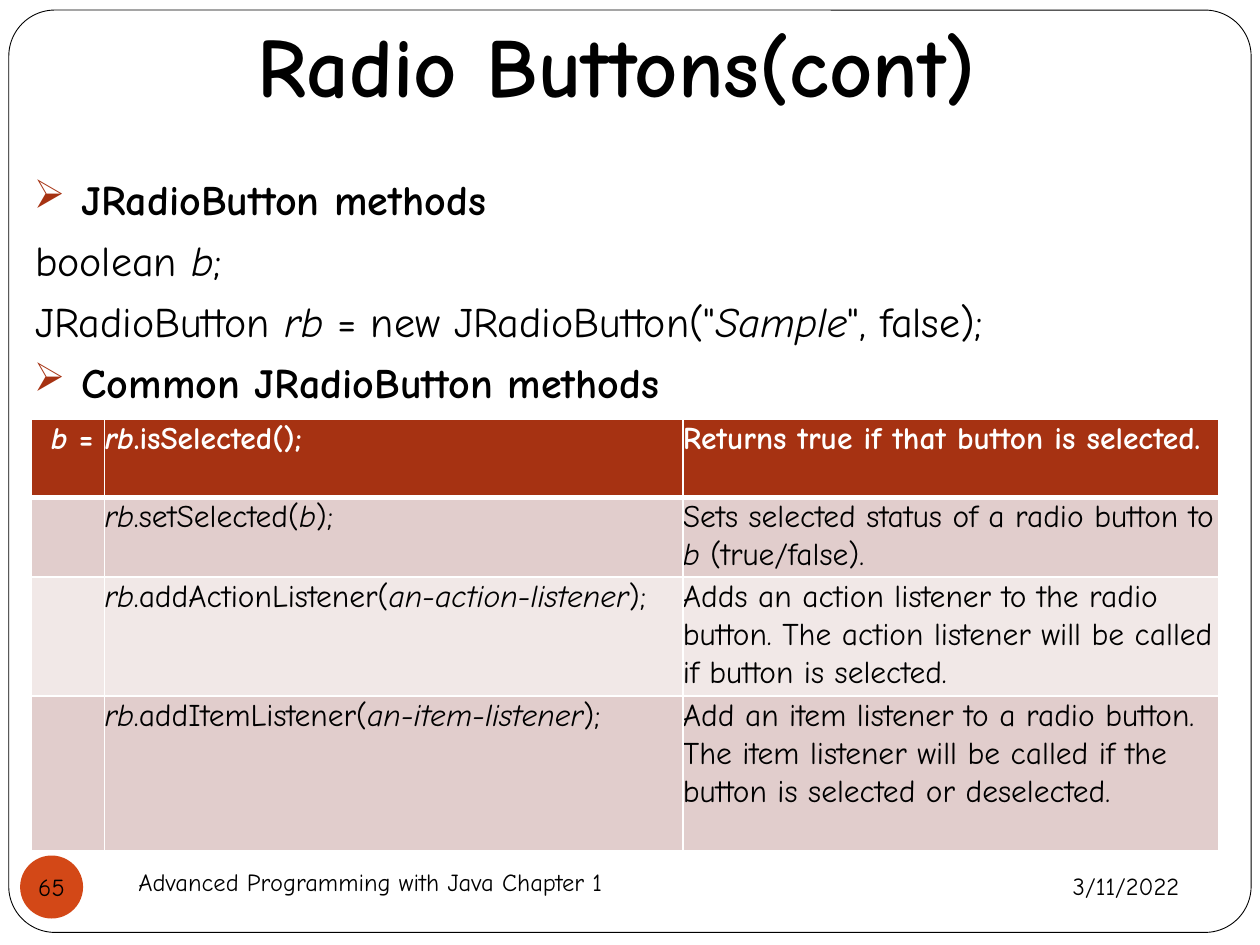
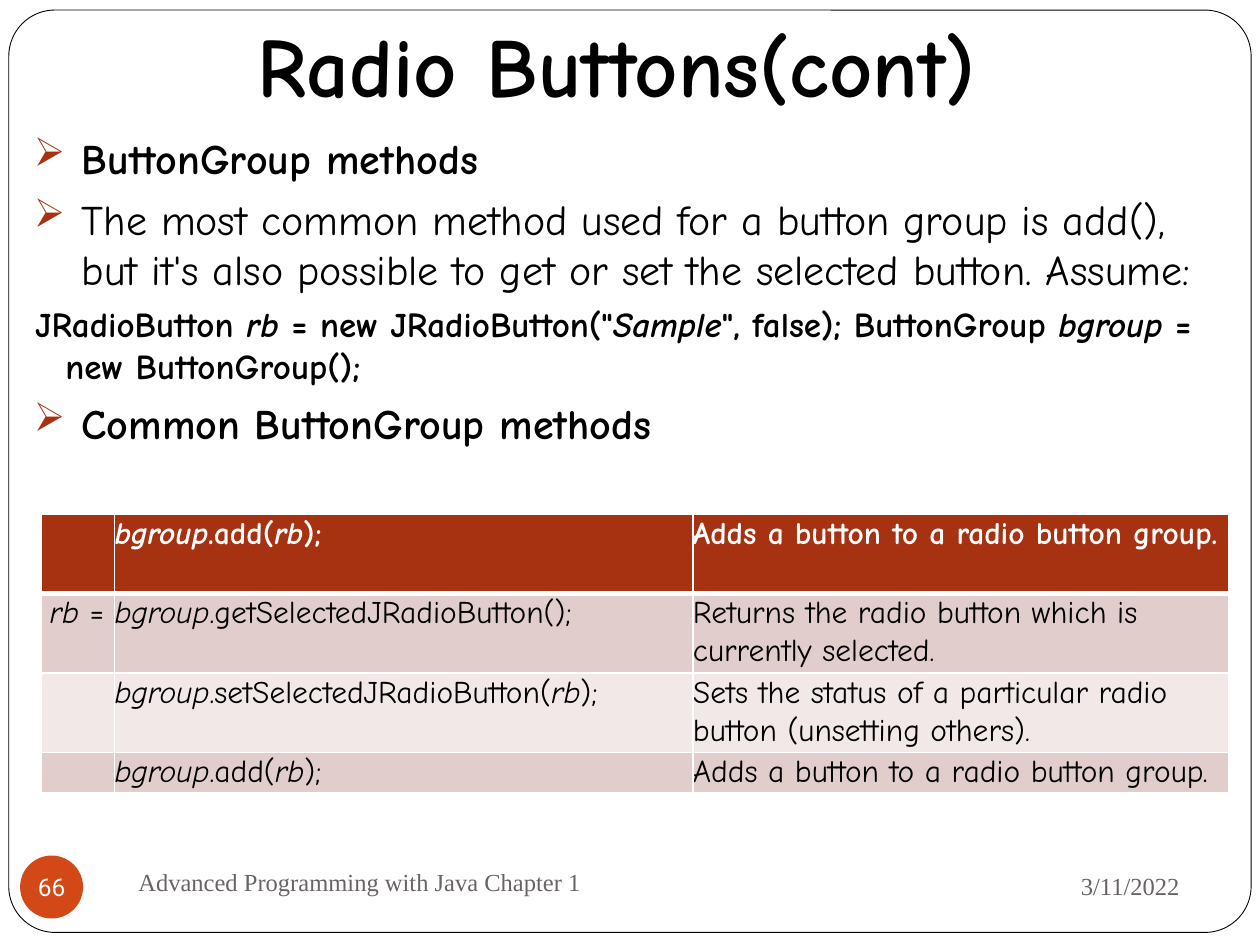
from lxml import etree
from pptx import Presentation
from pptx.dml.color import RGBColor
from pptx.enum import shapes, text
from pptx.oxml import ns
from pptx.util import Inches, Pt

BLACK = RGBColor(0x00, 0x00, 0x00)
WHITE = RGBColor(0xFF, 0xFF, 0xFF)
GREY = RGBColor(0x69, 0x64, 0x64)
ORANGE = RGBColor(0xD3, 0x48, 0x17)
RUST = RGBColor(0xA6, 0x32, 0x12)
ROSE = RGBColor(0xE1, 0xCD, 0xCC)
PALE = RGBColor(0xF1, 0xE8, 0xE7)

COMIC = "Comic Neue"
SERIF = "Times New Roman"
SANS = "Roboto"
LEFT, MID, RIGHT = text.PP_ALIGN.LEFT, text.PP_ALIGN.CENTER, text.PP_ALIGN.RIGHT
COLS = (0.58, 4.59, 4.25)
THIN, THICK = 0.91, 2.95


def write(para, words, size=24, font=COMIC, color=BLACK, bold=False, align=LEFT):
    """Fill a paragraph; words between asterisks are italic."""
    para.alignment = align
    for i, part in enumerate(words.split("*")):
        if part:
            run = para.add_run()
            run.text = part
            run.font.size, run.font.name = Pt(size), font
            run.font.bold, run.font.italic = bold, i % 2 == 1
            run.font.color.rgb = color


def node(parent, tag, **attrs):
    return etree.SubElement(parent, ns.qn("a:" + tag), attrs)


def tint(parent, color):
    node(parent, "srgbClr", val=str(color))


def edge(cell, side, width):
    line = node(cell._tc.get_or_add_tcPr(), "ln" + side, w=str(Pt(width)))
    tint(node(line, "solidFill"), WHITE)


class Deck:
    def __init__(self):
        self.prs = Presentation()
        self.prs.slide_width, self.prs.slide_height = Inches(10), Inches(7.5)
        self.slide = None

    def start(self, title, number, note, badge):
        """Add a slide with its frame, title, footers and number."""
        self.slide = self.prs.slides.add_slide(self.prs.slide_layouts[5])
        self.frame()
        self.title(title)
        self.label("3/11/2022", (6.75, 6.77, 2.71, 0.52), align=RIGHT, **note)
        self.label("Advanced Programming with Java Chapter 1",
                   (1, 6.75, 4.33, 0.5), **note)
        self.badge(number, **badge)

    def shape(self, kind, box):
        item = self.slide.shapes.add_shape(kind, *map(Inches, box))
        item.shadow.inherit = False
        item.fill.solid()
        return item

    def frame(self):
        item = self.shape(shapes.MSO_SHAPE.ROUNDED_RECTANGLE,
                          (0.07, 0.08, 9.86, 7.32))
        item.adjustments[0] = 0.05
        item.fill.fore_color.rgb = WHITE
        item.line.color.rgb, item.line.width = BLACK, Pt(0.5)
        # Keep the frame behind the title
        self.slide.shapes._spTree.insert(2, item._element)

    def title(self, words):
        item = self.slide.shapes.title
        item.left, item.top = Inches(0.5), Inches(0.01)
        item.width, item.height = Inches(8.79), Inches(1)
        item.text_frame.vertical_anchor = text.MSO_ANCHOR.MIDDLE
        write(item.text_frame.paragraphs[0], words, size=48, bold=True, align=MID)

    def box(self, place, anchor=text.MSO_ANCHOR.TOP):
        area = self.slide.shapes.add_textbox(*map(Inches, place)).text_frame
        area.word_wrap, area.vertical_anchor = True, anchor
        return area

    def label(self, words, place, **style):
        area = self.box(place, text.MSO_ANCHOR.MIDDLE)
        write(area.paragraphs[0], words, size=14, **style)

    def badge(self, number, **style):
        item = self.shape(shapes.MSO_SHAPE.OVAL, (0.16, 6.79, 0.5, 0.5))
        item.fill.fore_color.rgb = ORANGE
        item.line.fill.background()
        area = item.text_frame
        area.margin_left = area.margin_right = 0
        area.margin_top = area.margin_bottom = 0
        area.word_wrap, area.vertical_anchor = False, text.MSO_ANCHOR.MIDDLE
        write(area.paragraphs[0], str(number), size=14, align=MID, **style)

    def body(self, top, lines):
        """Each line is (bulleted, words, format)."""
        area = self.box((0.17, top, 9.67, 5.63))
        for i, (mark, words, style) in enumerate(lines):
            para = area.add_paragraph() if i else area.paragraphs[0]
            write(para, words, **style)
            para.space_before = Pt(style.get("size", 24) // 4)
            props = para._p.get_or_add_pPr()
            left, hang = (0.38, -0.38) if mark else (0.25, -0.24)
            props.set("marL", str(Inches(left)))
            props.set("indent", str(Inches(hang)))
            if mark:
                tint(node(props, "buClr"), RUST)
                node(props, "buSzPct", val="95000")
                node(props, "buChar", char="➢")
            else:
                node(props, "buNone")

    def table(self, left, top, highs, rows):
        grid = self.slide.shapes.add_table(
            len(rows), len(COLS), Inches(left), Inches(top),
            Inches(sum(COLS)), Inches(sum(highs))).table
        for col, wide in zip(grid.columns, COLS):
            col.width = Inches(wide)
        for r, (row, high) in enumerate(zip(rows, highs)):
            grid.rows[r].height = Inches(high)
            for c, words in enumerate(row):
                self.cell(grid.cell(r, c), words, r, RIGHT if c == 0 else LEFT)

    def cell(self, cell, words, row, align):
        head = row == 0
        cell.margin_left = cell.margin_right = 0
        cell.margin_top = cell.margin_bottom = 0
        for side, width in (("L", THIN), ("R", THIN),
                            ("T", THICK if row == 1 else THIN),
                            ("B", THICK if head else THIN)):
            edge(cell, side, width)
        cell.fill.solid()
        cell.fill.fore_color.rgb = RUST if head else ROSE if row % 2 else PALE
        para = cell.text_frame.paragraphs[0]
        para.line_spacing = 1.05
        write(para, words, size=18, color=WHITE if head else BLACK,
              bold=head, align=align)


def main():
    deck = Deck()
    bold = {"bold": True}
    name = "Radio Buttons(cont)"

    # Radio button methods
    deck.start(name, 65, note={}, badge={})
    deck.body(1.33, [
        (True, "JRadioButton methods", bold),
        (False, "boolean *b*;", {}),
        (False, 'JRadioButton *rb* = new JRadioButton("*Sample*", false);', {}),
        (True, "Common JRadioButton methods", bold),
    ])
    deck.table(0.25, 3.33, (0.62, 0.62, 0.94, 1.23), [
        ("*b* = ", "*rb*.isSelected();",
         "Returns true if that button is selected."),
        ("", "*rb*.setSelected(*b*);",
         "Sets selected status of a radio button to *b* (true/false)."),
        ("", "*rb*.addActionListener(*an-action-listener*);",
         "Adds an action listener to the radio button. The action listener "
         "will be called if button is selected."),
        ("", "*rb*.addItemListener(*an-item-listener*);",
         "Add an item listener to a radio button. The item listener will be "
         "called if the button is selected or deselected."),
    ])

    # Button group methods
    deck.start(name, 66, note={"font": SERIF, "color": GREY},
               badge={"font": SANS, "color": WHITE})
    deck.body(1, [
        (True, "ButtonGroup methods", bold),
        (True, "The most common method used for a button group is add(), but "
               "it's also possible to get or set the selected button. Assume:", {}),
        (False, 'JRadioButton *rb* = new JRadioButton("*Sample*", false); '
                "ButtonGroup *bgroup* = new ButtonGroup();",
         {"size": 20, "bold": True}),
        (True, "Common ButtonGroup methods", bold),
    ])
    add = ("", "*bgroup*.add(*rb*);", "Adds a button to a radio button group.")
    deck.table(0.33, 4.08, (0.63, 0.63, 0.63, 0.32), [
        add,
        ("*rb* = ", "*bgroup*.getSelectedJRadioButton();",
         "Returns the radio button which is currently selected."),
        ("", "*bgroup*.setSelectedJRadioButton(*rb*);",
         "Sets the status of a particular radio button (unsetting others)."),
        add,
    ])

    deck.prs.save("out.pptx")


if __name__ == "__main__":
    main()
